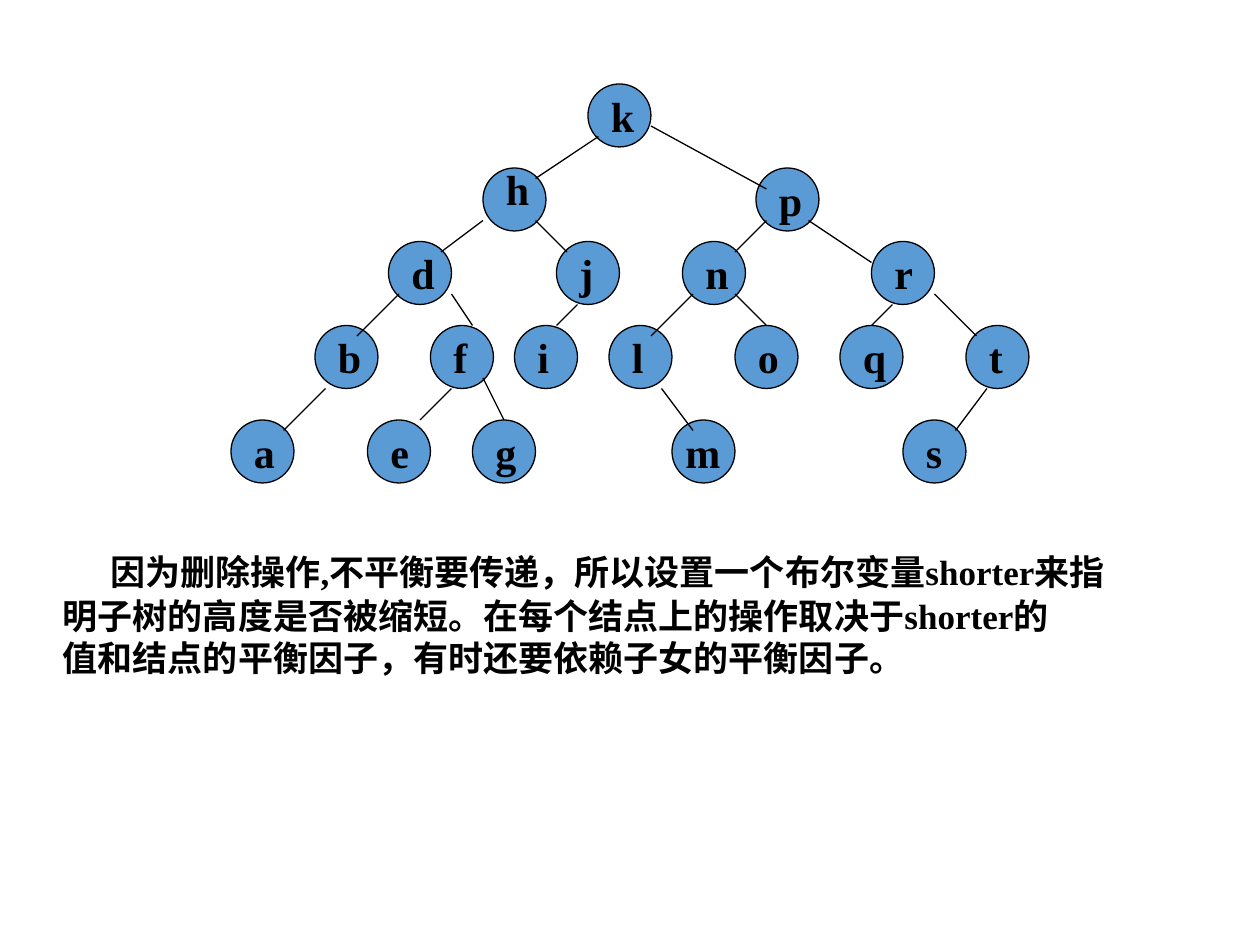
from lxml.etree import SubElement
from pptx import Presentation
from pptx.dml.color import RGBColor
from pptx.enum.shapes import MSO_CONNECTOR, MSO_SHAPE
from pptx.enum.text import MSO_AUTO_SIZE
from pptx.oxml.ns import qn
from pptx.util import Pt

FONT = "Times New Roman"
BLACK = "000000"
NODE_FILL = "5B9BD5"
NODE_SIZE = 36
LABEL_SHIFT = 6

# Top of each tree level: (letter, left, label width)
LEVELS = {
    48: [("k", 336, 27)],
    96: [("h", 276, 27), ("p", 432, 27)],
    138: [("d", 222, 27), ("j", 318, 22), ("n", 390, 27), ("r", 498, 24)],
    186: [("b", 180, 27), ("f", 246, 22), ("i", 294, 21), ("l", 348, 21),
          ("o", 420, 26), ("q", 480, 27), ("t", 552, 24)],
    240: [("a", 132, 26), ("e", 210, 25), ("g", 270, 26), ("m", 384, 34.5),
          ("s", 516, 24)],
}

# Start x, start y, end x, end y, from parent to child
EDGES = {
    "kh": (342, 78, 306, 102), "kp": (372, 72, 438, 108),
    "hd": (276, 126, 252, 144), "hj": (306, 126, 324, 144),
    "pn": (438, 126, 420, 144), "pr": (462, 126, 498, 150),
    "db": (228, 168, 204, 192), "df": (258, 168, 270, 186),
    "ji": (330, 174, 318, 186), "nl": (396, 168, 372, 192),
    "no": (420, 168, 438, 186), "rq": (510, 174, 498, 186),
    "rt": (534, 168, 558, 192), "ba": (186, 222, 162, 246),
    "fe": (258, 222, 240, 240), "fg": (276, 216, 288, 240),
    "lm": (378, 222, 396, 246), "ts": (564, 222, 546, 246),
}

# Line spacing and wording of each line
EXPLANATION = [
    (29, "因为删除操作,不平衡要传递，所以设置一个布尔变量shorter来指"),
    (25, "明子树的高度是否被缩短。在每个结点上的操作取决于shorter的"),
    (24, "值和结点的平衡因子，有时还要依赖子女的平衡因子。"),
]


def color(value):
    return RGBColor.from_string(value)


def add_span(para, text, size):
    span = para.add_run()
    span.text = text
    span.font.name = FONT
    span.font.size = Pt(size)
    span.font.bold = True
    span.font.color.rgb = color(BLACK)


def add_text_box(page, left, top, width, height, wrap):
    box = page.shapes.add_textbox(Pt(left), Pt(top), Pt(width), Pt(height))
    box.text_frame.word_wrap = wrap
    box.text_frame.auto_size = MSO_AUTO_SIZE.NONE
    return box.text_frame


def add_node(page, left, top):
    node = page.shapes.add_shape(MSO_SHAPE.FLOWCHART_CONNECTOR, Pt(left), Pt(top),
                                 Pt(NODE_SIZE), Pt(NODE_SIZE))
    node.shadow.inherit = False
    node.fill.solid()
    node.fill.fore_color.rgb = color(NODE_FILL)
    node.line.color.rgb = color(BLACK)
    node.line.width = Pt(0.75)


def add_edge(page, ends):
    edge = page.shapes.add_connector(MSO_CONNECTOR.STRAIGHT, *map(Pt, ends))
    edge.line.color.rgb = color(BLACK)
    edge.line.width = Pt(0.75)
    SubElement(edge._element.spPr, qn("a:effectLst"))


def add_label(page, letter, left, top, width):
    """Letter slightly right of its node's left edge; h sits higher, the wide m further left."""
    shift = 0.5 if letter == "m" else LABEL_SHIFT
    rise = LABEL_SHIFT if letter == "h" else 0
    frame = add_text_box(page, left + shift, top - rise, width, NODE_SIZE, False)
    add_span(frame.paragraphs[0], letter, 24)


def add_tree(page):
    nodes = [(letter, left, top, width)
             for top, level in LEVELS.items() for letter, left, width in level]
    for _, left, top, _ in nodes:
        add_node(page, left, top)
    for ends in EDGES.values():
        add_edge(page, ends)
    for node in nodes:
        add_label(page, *node)


def add_explanation(page):
    frame = add_text_box(page, 28.8, 306, 649.5, 108, True)
    for index, (spacing, text) in enumerate(EXPLANATION):
        para = frame.add_paragraph() if index else frame.paragraphs[0]
        para.line_spacing = Pt(spacing)
        if index == 0:
            para._p.get_or_add_pPr().set("indent", str(Pt(27)))
        add_span(para, text, 20)


def main():
    deck = Presentation()
    deck.slide_width, deck.slide_height = Pt(720), Pt(540)
    page = deck.slides.add_slide(deck.slide_layouts[6])
    add_tree(page)
    add_explanation(page)
    deck.save("out.pptx")


if __name__ == "__main__":
    main()
